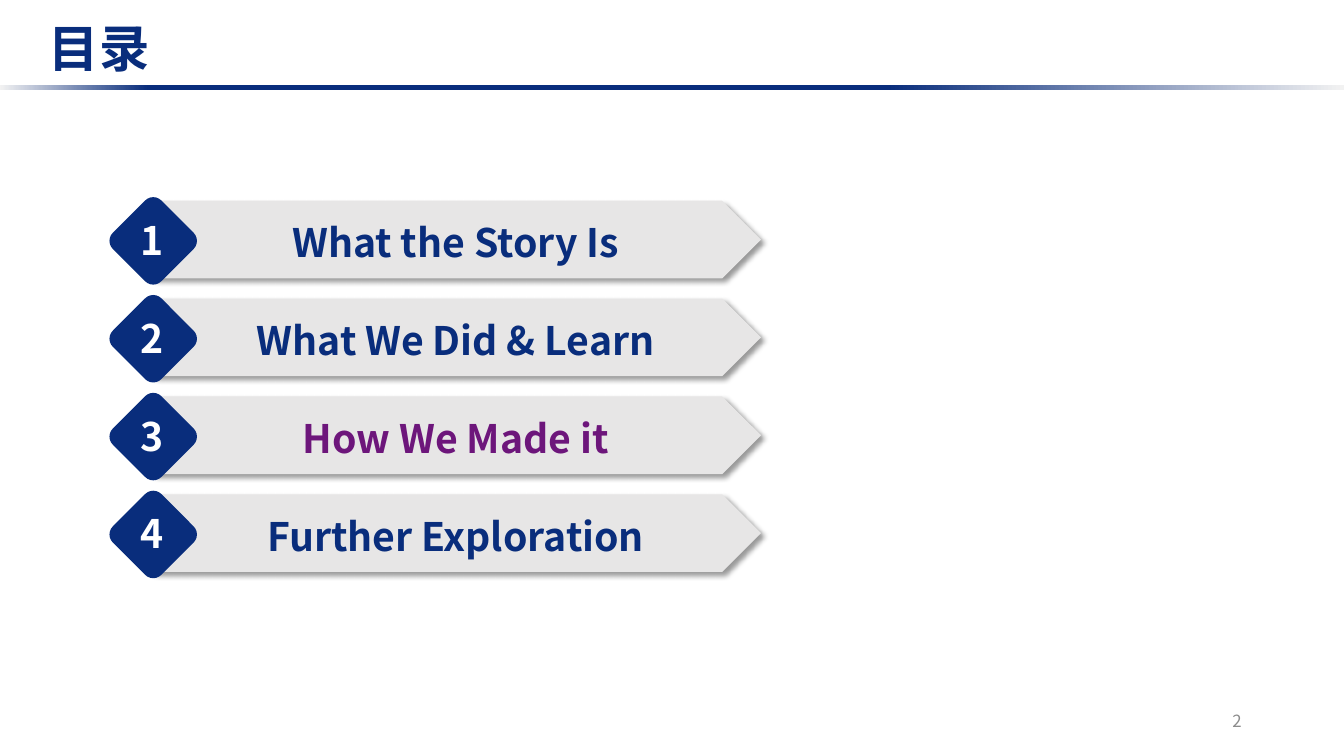
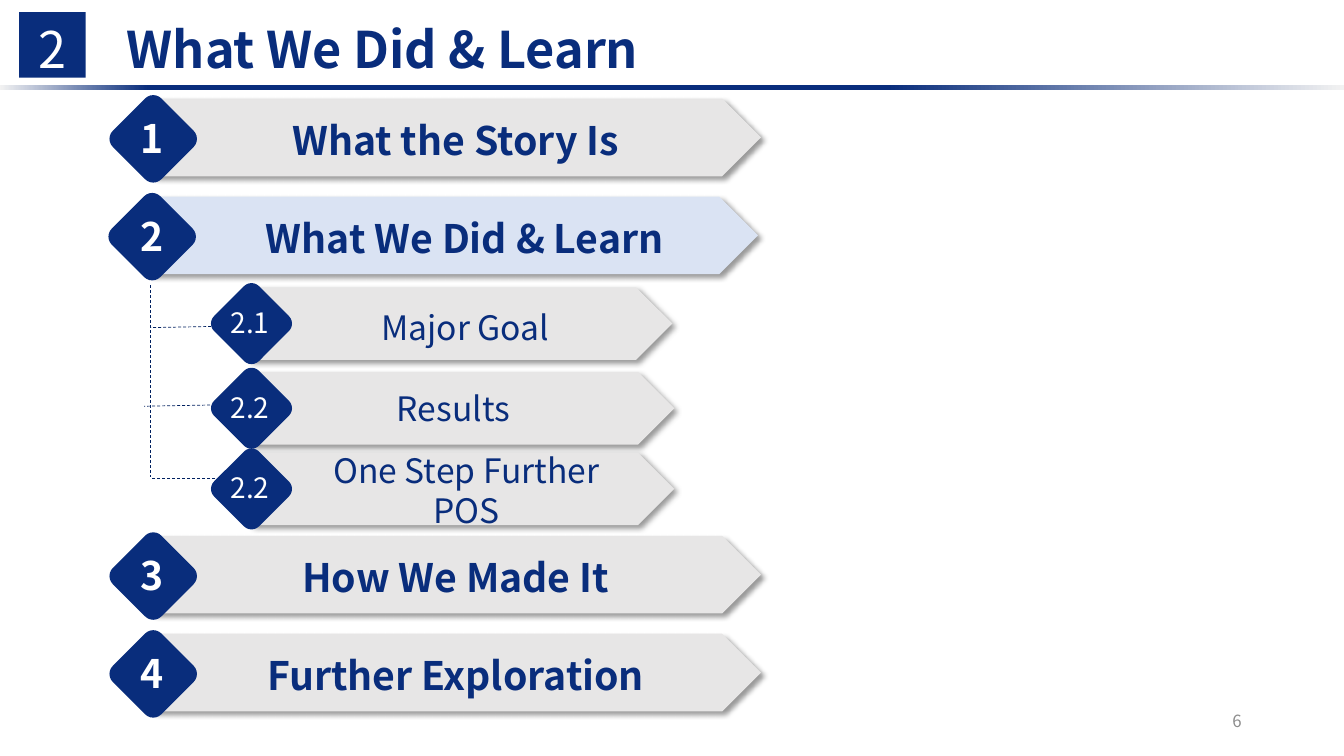
from pptx import Presentation
from pptx.dml.color import RGBColor
from pptx.enum.dml import MSO_LINE
from pptx.enum.shapes import MSO_CONNECTOR, MSO_SHAPE
from pptx.enum.text import MSO_ANCHOR, PP_ALIGN
from pptx.oxml import parse_xml
from pptx.oxml.ns import nsdecls, qn
from pptx.util import Inches, Pt
from lxml.etree import SubElement

COLS, ROWS = 160, 90
WIDE, HIGH = Inches(13.333), Inches(7.5)
FONT = "Noto Sans CJK SC"
NAVY = RGBColor(0x09, 0x2D, 0x7C)
INK = RGBColor(0x00, 0x20, 0x60)
PLUM = RGBColor(0x6D, 0x16, 0x7B)
SILVER = RGBColor(0xE7, 0xE6, 0xE6)
PALE = RGBColor(0xDA, 0xE3, 0xF3)
MIST = RGBColor(0xF2, 0xF2, 0xF2)
GRAY = RGBColor(0x8C, 0x8C, 0x8C)
WHITE = RGBColor(0xFF, 0xFF, 0xFF)
BLACK = RGBColor(0x00, 0x00, 0x00)

PITCH = 11.65
STORY, LEARN, FURTHER = "What the Story Is", "What We Did & Learn", "Further Exploration"


def col(n):
    return round(WIDE * n / COLS)


def row(n):
    return round(HIGH * n / ROWS)


def area(x, y, w, h):
    return col(x), row(y), col(w), row(h)


def write(frame, lines, size, color, bold=False, align=PP_ALIGN.CENTER):
    for i, line in enumerate(lines.split("\n")):
        para = frame.paragraphs[0] if i == 0 else frame.add_paragraph()
        para.alignment = align
        run = para.add_run()
        run.text = line
        font = run.font
        font.name, font.size, font.bold = FONT, Pt(size), bold
        font.color.rgb = color
        SubElement(font._element, qn("a:ea"), typeface=FONT)


def label(slide, box, lines, size, color, bold=False, align=PP_ALIGN.CENTER,
          wrap=True, anchor=MSO_ANCHOR.TOP):
    frame = slide.shapes.add_textbox(*area(*box)).text_frame
    frame.word_wrap = wrap
    frame.vertical_anchor = anchor
    write(frame, lines, size, color, bold, align)


def block(slide, kind, box, color):
    shape = slide.shapes.add_shape(kind, *area(*box))
    shape.shadow.inherit = False
    shape.fill.solid()
    shape.fill.fore_color.rgb = color
    shape.line.fill.background()
    return shape


def arrow(slide, box, color=SILVER):
    shape = block(slide, MSO_SHAPE.PENTAGON, box, color)
    shape._element.spPr.find(qn("a:effectLst")).append(parse_xml(
        f'<a:outerShdw {nsdecls("a")} blurRad="{Pt(4)}" dist="{Pt(3)}" '
        f'dir="2700000" algn="tl" rotWithShape="0"><a:srgbClr val="{BLACK}">'
        '<a:alpha val="40000"/></a:srgbClr></a:outerShdw>'))
    return shape


def diamond(slide, x, y, side):
    block(slide, MSO_SHAPE.ROUNDED_RECTANGLE, (x, y, side, side), NAVY).rotation = 45


def dash(slide, x1, y1, x2, y2):
    line = slide.shapes.add_connector(
        MSO_CONNECTOR.STRAIGHT, col(x1), row(y1), col(x2), row(y2))
    line.line.color.rgb = INK
    line.line.width = Pt(0.5)
    line.line.dash_style = MSO_LINE.DASH
    SubElement(line._element.spPr, qn("a:effectLst"))


def rule(slide):
    band = block(slide, MSO_SHAPE.RECTANGLE, (0, 10.08, COLS, 0.6), NAVY)
    band.fill.gradient()
    band.fill.gradient_angle = 0
    stops = band._element.spPr.find(qn("a:gradFill")).find(qn("a:gsLst"))
    for stop in list(stops):
        stops.remove(stop)
    for share, color in ((0, MIST), (11, NAVY), (66, NAVY), (100, MIST)):
        stop = SubElement(stops, qn("a:gs"), pos=str(share * 1000))
        SubElement(stop, qn("a:srgbClr"), val=str(color))


def base(deck, title, box, page):
    slide = deck.slides.add_slide(deck.slide_layouts[6])
    label(slide, (113, 83.4, 36, 4.8), page, 12, GRAY,
          align=PP_ALIGN.RIGHT, anchor=MSO_ANCHOR.MIDDLE)
    rule(slide)
    label(slide, box, title, 36, NAVY, True)
    return slide


def topic(slide, num, text, top, color=NAVY, live=False):
    arrow(slide, (17.88 if live else 18.24, top, 72.36, 9.24), PALE if live else SILVER)
    diamond(slide, 14.04 if live else 14.16, top + 0.7, 8.16)
    label(slide, (15.5, top + 1.25, 5.28, 6.84), str(num), 28, WHITE, True,
          PP_ALIGN.LEFT, False)
    label(slide, (26.16 if live else 25.08, top + 1.5, 58.32, 6.84), text, 28, color, True)


def point(slide, num, left, top):
    bar = arrow(slide, (left, top, 50.4, 8.64))
    diamond(slide, 26.16, top + 0.55, 7.56)
    label(slide, (26.16, top + 1.6, 7.2, 5.28), num, 20, WHITE, wrap=False)
    return bar


def agenda(deck):
    slide = base(deck, "目录", (2.28, 1.44, 19.08, 8.52), "2")
    topics = ((STORY, NAVY), (LEARN, NAVY), ("How We Made it", PLUM), (FURTHER, NAVY))
    for i, (text, color) in enumerate(topics):
        topic(slide, i + 1, text, 23.9 + PITCH * i, color)


def detail(deck):
    slide = base(deck, LEARN, (9.24, 1.56, 72.6, 8.52), "6")
    block(slide, MSO_SHAPE.RECTANGLE, (2.28, 1.44, 7.92, 7.8), NAVY)
    label(slide, (3, 1.56, 6.48, 8.52), "2", 36, WHITE)
    for ends in ((17.88, 33.96, 17.88, 56.8), (30.96, 57, 17.88, 57),
                 (31.08, 38.76, 17.88, 39), (30.36, 48.12, 17.16, 48.36)):
        dash(slide, *ends)
    for i, text in enumerate((STORY, LEARN, "How We Made It", FURTHER)):
        gap = 28.75 if i > 1 else 0
        topic(slide, i + 1, text, 11.75 + PITCH * i + gap, live=text == LEARN)
    point(slide, "2.1", 29.64, 34.2)
    label(slide, (35.16, 36, 40.44, 6), "Major Goal", 24, NAVY)
    bar = point(slide, "2.2", 29.88, 44.28)
    bar.text_frame.vertical_anchor = MSO_ANCHOR.MIDDLE
    write(bar.text_frame, "Results", 24, NAVY)
    point(slide, "2.2", 29.88, 53.88)
    label(slide, (36, 52.92, 39, 10.92), "One Step Further\nPOS", 24, NAVY)


def main():
    deck = Presentation()
    deck.slide_width, deck.slide_height = WIDE, HIGH
    agenda(deck)
    detail(deck)
    deck.save("out.pptx")


if __name__ == "__main__":
    main()
